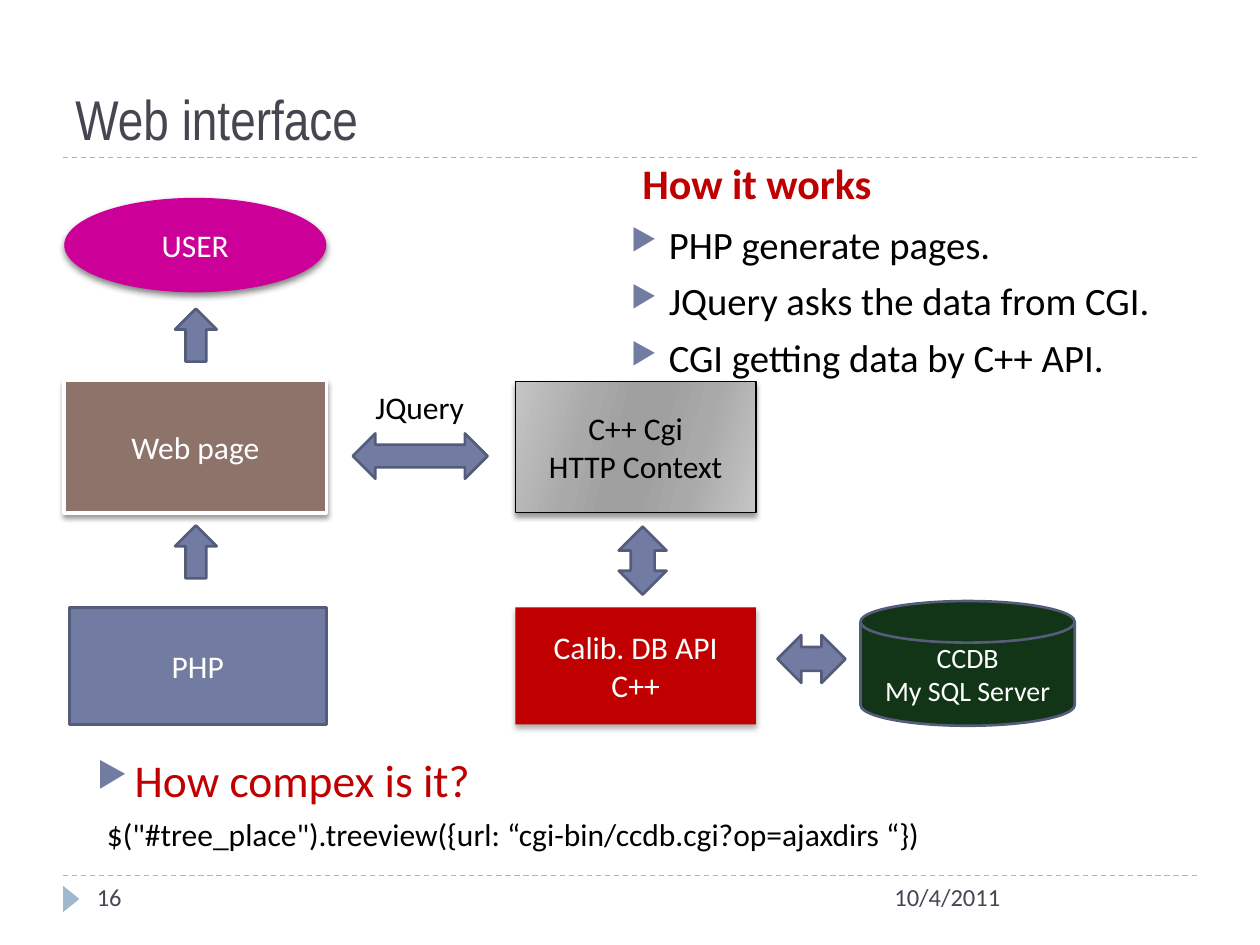
from lxml import etree
from pptx import Presentation
from pptx.dml.color import RGBColor
from pptx.enum.dml import MSO_LINE
from pptx.enum.shapes import MSO_CONNECTOR, MSO_SHAPE
from pptx.enum.text import MSO_ANCHOR, PP_ALIGN
from pptx.oxml.ns import qn
from pptx.util import Inches, Pt

RECT, OVAL = MSO_SHAPE.RECTANGLE, MSO_SHAPE.OVAL
DISK = MSO_SHAPE.FLOWCHART_MAGNETIC_DISK
UP, BOTH = MSO_SHAPE.UP_ARROW, MSO_SHAPE.LEFT_RIGHT_ARROW
TRI = MSO_SHAPE.ISOSCELES_TRIANGLE
DASH, LINE = MSO_LINE.DASH, MSO_CONNECTOR.STRAIGHT
MID, LOW, TOP = MSO_ANCHOR.MIDDLE, MSO_ANCHOR.BOTTOM, MSO_ANCHOR.TOP
CENTER, LEFT = PP_ALIGN.CENTER, PP_ALIGN.LEFT

COLORS = {
    "ink": "464653", "black": "000000", "white": "FFFFFF", "red": "C00000",
    "blue": "727CA3", "edge": "545C79", "pale": "9FB8CD", "brown": "8E736A",
    "green": "133517", "pink": "CC0099",
}
RGB = {name: RGBColor.from_string(code) for name, code in COLORS.items()}
METAL = [(0, "C5C5C5"), (30, "A9A9A9"), (45, "A0A0A0"),
         (55, "A0A0A0"), (73, "A9A9A9"), (100, "C5C5C5")]

prs = Presentation()
prs.slide_width, prs.slide_height = Inches(10), Inches(7.5)
slide = prs.slides.add_slide(prs.slide_layouts[6])
shapes = slide.shapes


def add_form(kind, box, fill, edge=None, width=1.5, shade=None, turn=0):
    """Add a preset shape; shade is (opacity %, blur pt, distance pt)."""
    form = shapes.add_shape(kind, *map(Inches, box))
    form.rotation = turn
    form.shadow.inherit = False
    if fill == "metal":
        form.fill.gradient()
        form.fill.gradient_angle = 344
        stops = form._element.spPr.find(".//" + qn("a:gsLst"))
        for old in list(stops):
            stops.remove(old)
        for pos, code in METAL:
            stop = etree.SubElement(stops, qn("a:gs"), pos=str(pos * 1000))
            etree.SubElement(stop, qn("a:srgbClr"), val=code)
    else:
        form.fill.solid()
        form.fill.fore_color.rgb = RGB[fill]
    if edge:
        form.line.color.rgb = RGB[edge]
        form.line.width = Pt(width)
    else:
        form.line.fill.background()
    if shade:
        alpha, blur, dist = shade
        effects = form._element.spPr.find(qn("a:effectLst"))
        cast = etree.SubElement(
            effects, qn("a:outerShdw"), blurRad=str(Pt(blur)),
            dist=str(Pt(dist)), dir="5400000", rotWithShape="0")
        tint = etree.SubElement(cast, qn("a:srgbClr"), val=COLORS["black"])
        etree.SubElement(tint, qn("a:alpha"), val=str(alpha * 1000))
    return form


def write(form, lines, size, color, align=LEFT, anchor=TOP, face="Calibri",
          bold=False, bullet=False, wrap=True):
    frame = form.text_frame
    frame.word_wrap = wrap
    frame.vertical_anchor = anchor
    for i, line in enumerate(lines):
        para = frame.paragraphs[0] if i == 0 else frame.add_paragraph()
        para.text = line
        para.alignment = align
        if bullet:
            if i:
                para.space_before = Pt(6)
            props = para._p.get_or_add_pPr()
            props.set("marL", str(Inches(0.3)))
            props.set("indent", str(Inches(-0.3)))
            tint = etree.SubElement(props, qn("a:buClr"))
            etree.SubElement(tint, qn("a:srgbClr"), val=COLORS["blue"])
            etree.SubElement(props, qn("a:buSzPct"), val="76000")
            etree.SubElement(props, qn("a:buChar"), char="▶")
        para.font.size = Pt(size)
        para.font.name = face
        para.font.bold = bold
        para.font.color.rgb = RGB[color]


# Rules and page marker
for y in (6.95, 1.25):
    rule = shapes.add_connector(
        LINE, Inches(0.5), Inches(y), Inches(9.5), Inches(y))
    rule.line.color.rgb = RGB["pale"]
    rule.line.width = Pt(0.75)
    rule.line.dash_style = DASH
    etree.SubElement(rule._element.spPr, qn("a:effectLst"))
add_form(TRI, (0.46, 7.07, 0.21, 0.13), "pale", turn=90)

# Diagram nodes
soft = (40, 3, 2)
nodes = [
    (OVAL, (0.51, 1.57, 2.08, 0.75), "pink", None, 0, (50, 4, 2),
     ["USER"], 18, "white"),
    (RECT, (0.51, 3.02, 2.08, 1.05), "brown", "white", 2, soft,
     ["Web page"], 18, "white"),
    (RECT, (0.55, 4.82, 2.04, 0.93), "blue", "edge", 1.5, None,
     ["PHP"], 18, "white"),
    (RECT, (4.09, 3.03, 1.91, 1.04), "metal", "black", 0.75, soft,
     ["C++ Cgi\vHTTP Context"], 18, "black"),
    (RECT, (4.09, 4.82, 1.91, 0.93), "red", None, 0, (32, 3.5, 2.2),
     ["Calib. DB API", "C++"], 18, "white"),
    (DISK, (6.83, 4.77, 1.7, 0.99), "green", "edge", 1.5, None,
     ["CCDB", "My SQL Server"], 16, "white"),
]
for kind, box, fill, edge, width, shade, lines, size, color in nodes:
    node = add_form(kind, box, fill, edge, width, shade)
    write(node, lines, size, color, CENTER, MID)

# Arrows between nodes
arrows = [
    (UP, (1.39, 2.45, 0.33, 0.42), 0),
    (UP, (1.39, 4.17, 0.33, 0.42), 0),
    (BOTH, (2.8, 3.44, 1.07, 0.36), 0),
    (BOTH, (4.83, 4.26, 0.54, 0.38), 90),
    (BOTH, (6.17, 5.04, 0.54, 0.38), 0),
]
for kind, box, turn in arrows:
    add_form(kind, box, "blue", "edge", turn=turn)

# Text
code = '$("#tree_place").treeview({url: “cgi-bin/ccdb.cgi?op=ajaxdirs “})'
steps = ["PHP generate pages.", "JQuery asks the data from CGI.",
         "CGI getting data by C++ API."]
texts = [
    ((0.5, 0.17, 9, 1.08), ["Web interface"], 32, "ink",
     {"face": "Arial Narrow", "anchor": LOW}),
    ((2.88, 3.03, 0.91, 0.4), ["JQuery"], 18, "black", {"wrap": False}),
    ((5, 1.2, 4.5, 0.5), ["How it works"], 24, "red", {"bold": True}),
    ((4.91, 1.7, 4.93, 1.17), steps, 22.1, "black", {"bullet": True}),
    ((0.67, 5.92, 9, 0.75), ["How compex is it?"], 26, "red",
     {"bullet": True}),
    ((0.75, 6.42, 8.25, 0.4), [code], 18, "black", {}),
    ((0.67, 6.95, 2.17, 0.4), ["16"], 14, "ink", {}),
    ((7, 6.95, 2.5, 0.4), ["10/4/2011"], 14, "ink", {}),
]
for box, lines, size, color, style in texts:
    write(shapes.add_textbox(*map(Inches, box)), lines, size, color, **style)

prs.save("out.pptx")
